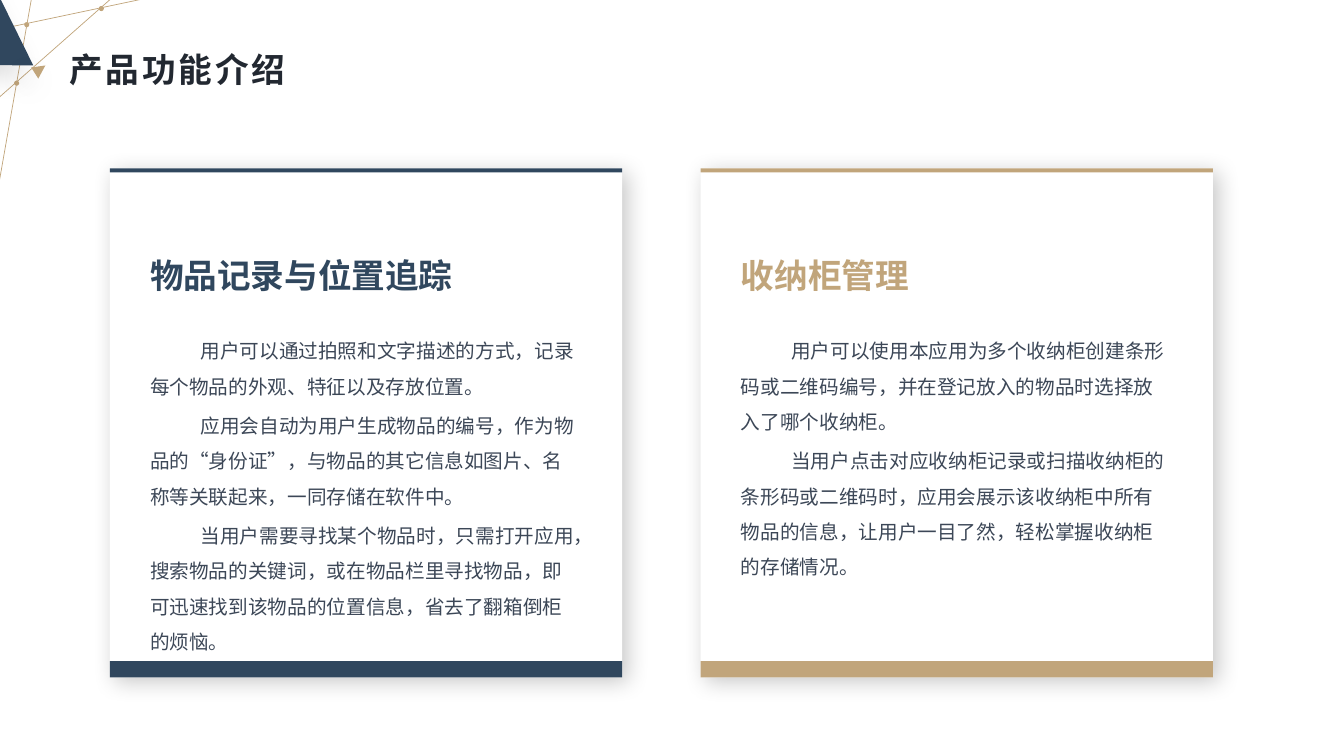
"""Build the product feature slide with two feature cards."""
from lxml import etree
from pptx import Presentation
from pptx.dml.color import RGBColor
from pptx.enum.shapes import MSO_CONNECTOR, MSO_SHAPE
from pptx.enum.text import MSO_ANCHOR, MSO_AUTO_SIZE, PP_ALIGN
from pptx.oxml.ns import qn
from pptx.util import Inches, Pt

RECTANGLE, OVAL = MSO_SHAPE.RECTANGLE, MSO_SHAPE.OVAL
STRAIGHT = MSO_CONNECTOR.STRAIGHT
MIDDLE, LEFT = MSO_ANCHOR.MIDDLE, PP_ALIGN.LEFT
NO_FIT, GROW = MSO_AUTO_SIZE.NONE, MSO_AUTO_SIZE.SHAPE_TO_FIT_TEXT

FONT = "Noto Sans CJK SC"
COLORS = {"navy": "30475E", "gold": "C1A57B", "title": "222831",
          "body": "3C4757", "white": "FFFFFF", "shadow": "000000"}

TITLE = "产品功能介绍"
CARDS = [
    {"heading": "物品记录与位置追踪", "color": "navy", "body_height": 3.36, "body": [
        "用户可以通过拍照和文字描述的方式，记录每个物品的外观、特征以及存放位置。",
        "应用会自动为用户生成物品的编号，作为物品的“身份证”，与物品的其它信息如图片、名称等关联起来，一同存储在软件中。",
        "当用户需要寻找某个物品时，只需打开应用，搜索物品的关键词，或在物品栏里寻找物品，即可迅速找到该物品的位置信息，省去了翻箱倒柜的烦恼。",
    ]},
    {"heading": "收纳柜管理", "color": "gold", "body_height": 2.62, "body": [
        "用户可以使用本应用为多个收纳柜创建条形码或二维码编号，并在登记放入的物品时选择放入了哪个收纳柜。",
        "当用户点击对应收纳柜记录或扫描收纳柜的条形码或二维码时，应用会展示该收纳柜中所有物品的信息，让用户一目了然，轻松掌握收纳柜的存储情况。",
    ]},
]
CORNER_LINES = [(0.35, -0.23, -0.03, 1.93), (1.2, -0.1, -0.24, 1.17), (1.51, -0.03, -1, 0.5)]
CORNER_DOTS = [(0.14, 0.8), (0.24, 0.22), (0.98, 0.06)]
CORNER_TRIANGLES = [
    ("navy", [(-0.61, 0.64), (0.33, 0.65), (-0.05, -0.12)]),
    ("gold", [(0.45, 0.65), (0.38, 0.78), (0.31, 0.67)]),
]
TRIANGLE_SHADOW = {"alpha": 15, "blur": 20, "distance": 10, "angle": 135}
CARD_SHADOW = {"alpha": 22, "blur": 16, "distance": 5, "angle": 45}

DOT = 0.05
CARD_LEFT, CARD_TOP, CARD_WIDTH, CARD_HEIGHT = 1.09, 1.67, 5.08, 5.05
CARD_STEP = 5.86
TOP_BAR, BOTTOM_BAR = 0.04, 0.16
PADDING = 0.3


def rgb(name):
    return RGBColor.from_string(COLORS[name])


def paint(shape, color, shadow=None):
    shape.fill.solid()
    shape.fill.fore_color.rgb = rgb(color)
    shape.line.fill.background()
    shape.shadow.inherit = False
    if shadow:
        effects = shape._element.spPr.find(qn("a:effectLst"))
        outer = etree.SubElement(effects, qn("a:outerShdw"), {
            "blurRad": str(Pt(shadow["blur"])), "dist": str(Pt(shadow["distance"])),
            "dir": str(shadow["angle"] * 60000), "algn": "ctr", "rotWithShape": "0"})
        tint = etree.SubElement(outer, qn("a:srgbClr"), val=COLORS["shadow"])
        etree.SubElement(tint, qn("a:alpha"), val=str(shadow["alpha"] * 1000))


def add_block(shapes, kind, left, top, width, height, color, shadow=None):
    block = shapes.add_shape(kind, Inches(left), Inches(top), Inches(width), Inches(height))
    paint(block, color, shadow)
    return block


def style(para, size, color, bold=False):
    for span in para.runs:
        span.font.size = Pt(size)
        span.font.bold = bold
        span.font.color.rgb = rgb(color)
        span.font.name = FONT
        etree.SubElement(span.font._element, qn("a:ea"), typeface=FONT)


def add_text(shapes, left, top, width, height, text):
    box = shapes.add_textbox(Inches(left), Inches(top), Inches(width), Inches(height))
    frame = box.text_frame
    frame.word_wrap = True
    frame.auto_size = GROW
    frame.text = text
    return frame


def add_corner(page):
    for x1, y1, x2, y2 in CORNER_LINES:
        line = page.shapes.add_connector(STRAIGHT, Inches(x1), Inches(y1), Inches(x2), Inches(y2))
        line.line.color.rgb = rgb("gold")
        line.line.width = Pt(0.5)
        etree.SubElement(line._element.spPr, qn("a:effectLst"))
    for left, top in CORNER_DOTS:
        add_block(page.shapes, OVAL, left, top, DOT, DOT, "gold")
    for color, corners in CORNER_TRIANGLES:
        points = [(Inches(x), Inches(y)) for x, y in corners]
        builder = page.shapes.build_freeform(*points[0])
        builder.add_line_segments(points[1:], close=True)
        paint(builder.convert_to_shape(), color, TRIANGLE_SHADOW)


def add_title(page):
    title = page.shapes.title
    title.left, title.top, title.width, title.height = map(Inches, (0.69, 0.47, 6, 0.48))
    frame = title.text_frame
    frame.text = TITLE
    frame.auto_size = NO_FIT
    frame.vertical_anchor = MIDDLE
    frame.margin_left = frame.margin_top = frame.margin_right = frame.margin_bottom = 0
    para = frame.paragraphs[0]
    para.alignment = LEFT
    para.line_spacing = 0.9
    style(para, 24, "title", True)
    para.runs[0].font._element.set("spc", "200")


def add_card(page, card, left):
    shapes = page.shapes.add_group_shape().shapes
    color = card["color"]
    add_block(shapes, RECTANGLE, left, CARD_TOP, CARD_WIDTH, CARD_HEIGHT, "white", CARD_SHADOW)
    add_block(shapes, RECTANGLE, left, CARD_TOP, CARD_WIDTH, TOP_BAR, color)
    heading = add_text(shapes, left + PADDING, 2.48, 3.3, 0.5, card["heading"])
    style(heading.paragraphs[0], 24, color, True)
    body = add_text(shapes, left + PADDING, 3.2, CARD_WIDTH - 2 * PADDING,
                    card["body_height"], "\n".join(card["body"]))
    for para in body.paragraphs:
        para.line_spacing = 1.5
        para.space_after = Pt(3)
        properties = para._p.get_or_add_pPr()
        properties.set("marL", "0")
        properties.set("indent", str(Inches(0.5)))
        style(para, 14, "body")
    add_block(shapes, RECTANGLE, left, CARD_TOP + CARD_HEIGHT - BOTTOM_BAR,
              CARD_WIDTH, BOTTOM_BAR, color)


def main():
    deck = Presentation()
    deck.slide_width, deck.slide_height = Inches(13.33), Inches(7.5)
    page = deck.slides.add_slide(deck.slide_layouts[5])
    add_corner(page)
    add_title(page)
    for index, card in enumerate(CARDS):
        add_card(page, card, CARD_LEFT + index * CARD_STEP)
    deck.save("out.pptx")


if __name__ == "__main__":
    main()
